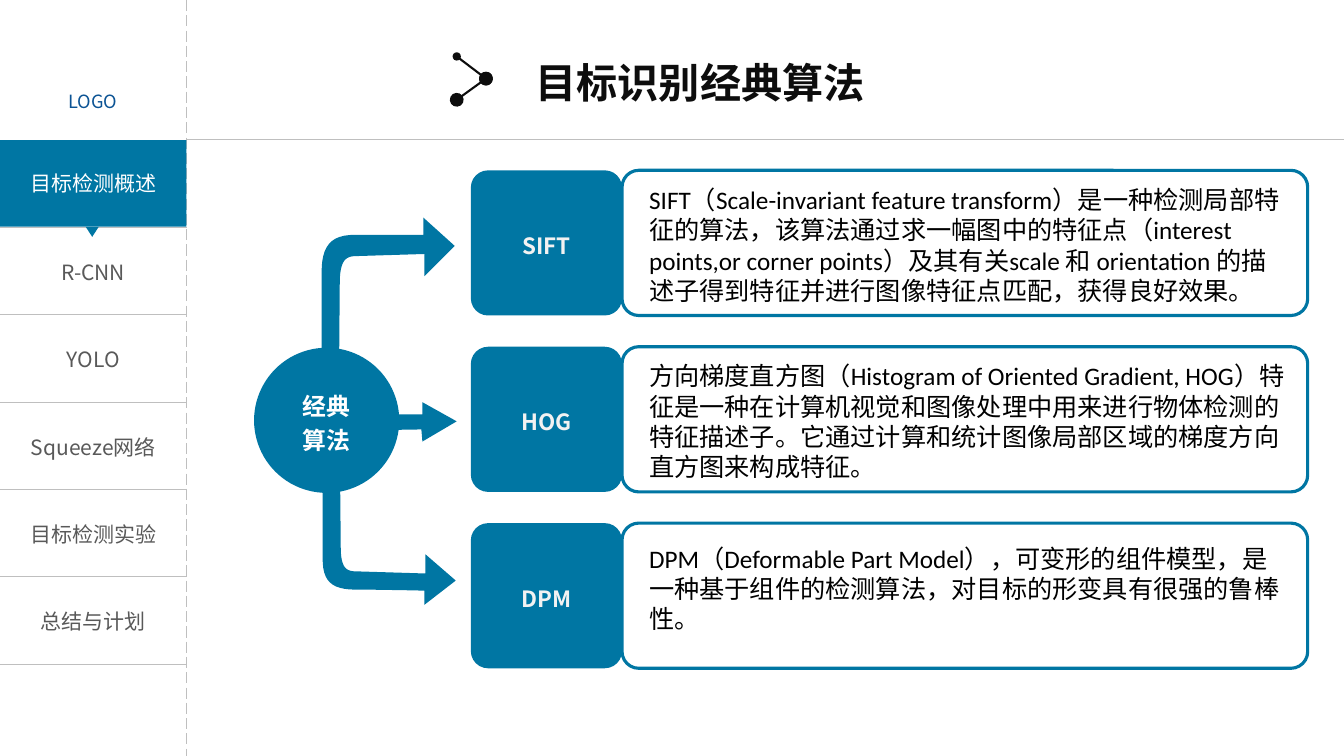
from dataclasses import dataclass

from lxml import etree
from pptx import Presentation
from pptx import util as u
from pptx.dml import color
from pptx.enum import dml, shapes, text
from pptx.oxml import ns

TEAL, GREY, INK, WHITE = "0076A3", "BFBFBF", "0D0D0D", "FFFFFF"
SANS = "Noto Sans CJK SC"
CELLS_PER_INCH = 10

MENU = ["", "R-CNN", "YOLO", "Squeeze网络", "目标检测实验", "总结与计划"]
ALGORITHMS = [
    ("SIFT", 0.9, 13.2, "SIFT（Scale-invariant feature transform）是一种检测局部特征的算法，该算法通过求一幅图中的特征点（interest points,or corner points）及其有关scale 和 orientation 的描述子得到特征并进行图像特征点匹配，获得良好效果。"),
    ("HOG", 0.9, 13.2, "方向梯度直方图（Histogram of Oriented Gradient, HOG）特征是一种在计算机视觉和图像处理中用来进行物体检测的特征描述子。它通过计算和统计图像局部区域的梯度方向直方图来构成特征。"),
    ("DPM", 1.5, 10.2, "DPM（Deformable Part Model），可变形的组件模型，是一种基于组件的检测算法，对目标的形变具有很强的鲁棒性。"),
]
UP_ARROW = [(8.4, 23.5), (8.5, 10.8), [(8.6, 8.6), (9.3, 8.5), (10.4, 8.5)], (16.9, 8.3),
            (16.9, 10.5), (19.9, 7.5), (16.8, 4.7), (16.8, 6.4),
            [(16.8, 6.4), (12.5, 6.4), (10, 6.4)], [(7.6, 6.4), (6.7, 7.5), (6.7, 10.1)],
            (6.7, 23.7), [(7, 26), (8, 25.7), (8.4, 23.5)]]
MIDDLE_ARROW = [(4.4, 25.9), (16.6, 25.7), (16.7, 26.9), (20.1, 24.9), (16.7, 23),
                (16.7, 24.2), (4.4, 24.2)]
DOWN_ARROW = [(8.5, 26.9), (8.6, 37.8), [(8.7, 39.8), (9.4, 39.8), (10.5, 39.8)], (17, 40),
              (17, 38.1), (20, 40.7), (16.9, 43.1), (16.9, 41.7),
              [(16.9, 41.7), (12.5, 41.6), (10.1, 41.6)], [(7.6, 41.6), (6.8, 40.7), (6.8, 38.5)],
              (6.8, 26.7), [(7.1, 24.8), (8.1, 24.9), (8.5, 26.9)]]


@dataclass
class Box:
    left: float
    top: float
    width: float
    height: float

    def inner(self, column, row, width, height):
        return Box(self.left + column, self.top + row, width, height)

    def lengths(self):
        return [cells(n) for n in (self.left, self.top, self.width, self.height)]


def cells(count):
    return u.Inches(count / CELLS_PER_INCH)


def rgb(value):
    return color.RGBColor.from_string(value)


def write(frame, lines, size, font, ink, bold=False, align=None, spacing=None, wrap=True,
          anchor=text.MSO_ANCHOR.MIDDLE):
    frame.word_wrap = wrap
    frame.vertical_anchor = anchor
    for index, line in enumerate(lines):
        paragraph = frame.add_paragraph() if index else frame.paragraphs[0]
        paragraph.alignment = align
        paragraph.line_spacing = spacing
        run = paragraph.add_run()
        run.text = line
        run.font.size, run.font.name, run.font.bold = u.Pt(size), font, bold
        run.font.color.rgb = rgb(ink)


def add_block(slide, kind, box, fill=None, outline=None, corner=None):
    shape = slide.shapes.add_shape(kind, *box.lengths())
    shape.shadow.inherit = False
    if corner:
        shape.adjustments[0] = corner
    if fill:
        shape.fill.solid()
        shape.fill.fore_color.rgb = rgb(fill)
    else:
        shape.fill.background()
    if outline:
        shape.line.color.rgb = rgb(outline)
        shape.line.width = u.Pt(2.25)
    else:
        shape.line.fill.background()
    return shape


def add_line(slide, start, end, ink, width, dash=None, ends=()):
    line = slide.shapes.add_connector(shapes.MSO_CONNECTOR.STRAIGHT,
                                      *[cells(n) for n in (*start, *end)])
    line.line.color.rgb = rgb(ink)
    line.line.width = u.Pt(width)
    if dash:
        line.line.dash_style = dash
    properties = line._element.spPr
    outline = properties.find(ns.qn("a:ln"))
    for tag, size in zip(("a:headEnd", "a:tailEnd"), ends):
        etree.SubElement(outline, ns.qn(tag), type="oval", w=size, len=size)
    etree.SubElement(properties, ns.qn("a:effectLst"))


def rule_cell(cell):
    cell.fill.background()
    properties = cell._tc.get_or_add_tcPr()
    for index, side in enumerate(("lnL", "lnR", "lnT", "lnB")):
        border = etree.Element(ns.qn(f"a:{side}"), w=str(int(u.Pt(1))))
        if side in ("lnT", "lnB"):
            fill = etree.SubElement(border, ns.qn("a:solidFill"))
            etree.SubElement(fill, ns.qn("a:srgbClr"), val=GREY)
        else:
            etree.SubElement(border, ns.qn("a:noFill"))
        properties.insert(index, border)


def add_menu(slide, box):
    centre = text.PP_ALIGN.CENTER
    frame = slide.shapes.add_table(len(MENU), 1, *box.inner(0, 13.9, box.width, 52).lengths())
    table = frame.table
    table.first_row = table.horz_banding = False
    for row, label in enumerate(MENU):
        cell = table.cell(row, 0)
        rule_cell(cell)
        if label:
            write(cell.text_frame, [label], 15, SANS, "595959", align=centre)
            cell.vertical_anchor = text.MSO_ANCHOR.MIDDLE
    add_line(slide, (box.left + box.width, box.top),
             (box.left + box.width, box.top + box.height), GREY, 1, dml.MSO_LINE.LONG_DASH)
    current = add_block(slide, shapes.MSO_SHAPE.RECTANGLE,
                        box.inner(0, 13.9, box.width, 8.6), TEAL)
    write(current.text_frame, ["目标检测概述"], 15, SANS, WHITE, align=centre)
    add_block(slide, shapes.MSO_SHAPE.FLOWCHART_MERGE, box.inner(8.5, 22.5, 1.3, 1), TEAL)
    mark = slide.shapes.add_textbox(*box.inner(5.6, 8.4, 7.2, 3.2).lengths())
    write(mark.text_frame, ["LOGO"], 13, SANS, "0B5394", align=centre, wrap=False)


def add_header(slide, box):
    add_line(slide, (box.left + box.width, box.top + box.height),
             (box.left, box.top + box.height), GREY, 0.5)
    title = slide.shapes.title
    title.left, title.top, title.width, title.height = box.inner(33.6, 5, 34.7, 6.2).lengths()
    write(title.text_frame, ["目标识别经典算法"], 29.4, "Arial", INK, True,
          text.PP_ALIGN.LEFT, wrap=False)
    upper, middle, lower = [(box.left + column, box.top + row)
                            for column, row in ((26.8, 5.6), (29.7, 7.8), (26.8, 9.9))]
    add_line(slide, upper, middle, INK, 1.5, ends=("med", "lg"))
    add_line(slide, middle, lower, INK, 1.5, ends=("lg", "lg"))


def bend(start, first, second, end, steps=12):
    for step in range(1, steps + 1):
        t = step / steps
        yield tuple((1 - t) ** 3 * a + 3 * t * (1 - t) ** 2 * b + 3 * t * t * (1 - t) * c + t ** 3 * d
                    for a, b, c, d in zip(start, first, second, end))


def add_arrow(slide, box, outline):
    points = [outline[0]]
    for part in outline[1:]:
        points.extend(bend(points[-1], *part) if isinstance(part, list) else [part])
    placed = [(cells(box.left + x), cells(box.top + y)) for x, y in points]
    builder = slide.shapes.build_freeform(*placed[0])
    builder.add_line_segments(placed[1:], close=True)
    arrow = builder.convert_to_shape()
    arrow.shadow.inherit = False
    arrow.fill.solid()
    arrow.fill.fore_color.rgb = rgb(TEAL)
    arrow.line.fill.background()


def add_hub(slide, box):
    for outline in (DOWN_ARROW, MIDDLE_ARROW, UP_ARROW):
        add_arrow(slide, box, outline)
    hub = add_block(slide, shapes.MSO_SHAPE.OVAL, box.inner(0, 17.6, 14.4, 14.4), TEAL)
    write(hub.text_frame, ["经典", "算法"], 17, "Arial", WHITE, True, text.PP_ALIGN.CENTER, 1.2)


def add_card(slide, box, name, text_row, text_height, description):
    rounded = shapes.MSO_SHAPE.ROUNDED_RECTANGLE
    add_block(slide, rounded, box.inner(15, 0, box.width - 15, box.height),
              outline=TEAL, corner=0.115)
    label = add_block(slide, rounded, box.inner(0, 0, 15, box.height), TEAL, corner=0.119)
    write(label.text_frame, [name], 16, SANS, "F2F2F2", True, text.PP_ALIGN.CENTER, 1.2)
    note = slide.shapes.add_textbox(*box.inner(16.7, text_row, 65, text_height).lengths())
    write(note.text_frame, [description], 18, "Calibri", "000000", anchor=text.MSO_ANCHOR.TOP)


def main():
    presentation = Presentation()
    presentation.slide_width, presentation.slide_height = cells(133.3), cells(75)
    slide = presentation.slides.add_slide(presentation.slide_layouts[5])
    add_menu(slide, Box(0, 0, 18.5, 75))
    add_header(slide, Box(18.5, 0, 114.8, 13.8))
    content = Box(25.2, 16.9, 104.5, 49.4)
    add_hub(slide, content)
    for index, algorithm in enumerate(ALGORITHMS):
        add_card(slide, content.inner(21.5, 17.5 * index, 83, 14.4), *algorithm)
    presentation.save("out.pptx")


if __name__ == "__main__":
    main()
